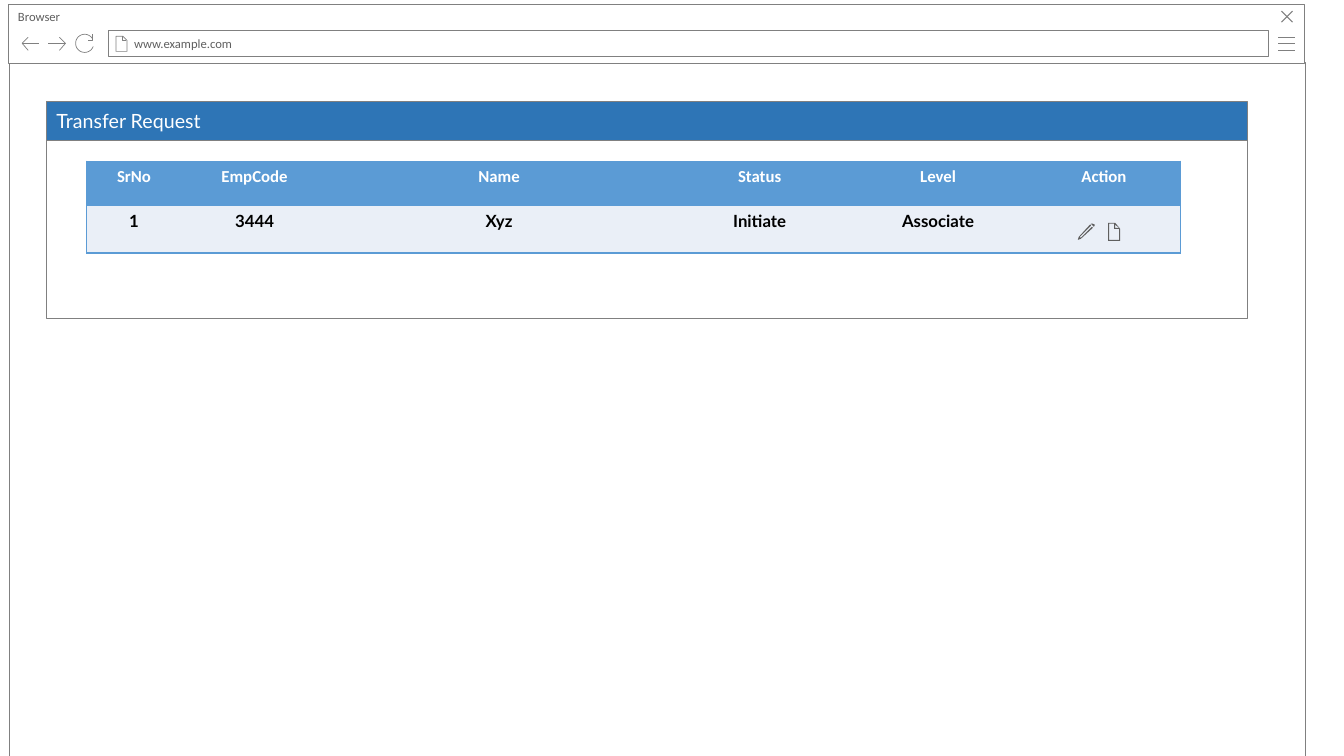
import math
from dataclasses import dataclass
from lxml import etree
from pptx import Presentation, util as u
from pptx.dml.color import RGBColor
from pptx.enum import shapes, text
from pptx.oxml import ns


@dataclass(frozen=True)
class Theme:
    white: RGBColor = RGBColor.from_string("FFFFFF")
    black: RGBColor = RGBColor.from_string("000000")
    outline: RGBColor = RGBColor.from_string("808080")
    ink: RGBColor = RGBColor.from_string("5F5F5F")
    banner: RGBColor = RGBColor.from_string("2E75B6")
    header: RGBColor = RGBColor.from_string("5B9BD5")
    row: RGBColor = RGBColor.from_string("EAEFF7")
    chrome_size: u.Pt = u.Pt(9)
    title_size: u.Pt = u.Pt(14)
    table_size: u.Pt = u.Pt(12)
    hairline: u.Pt = u.Pt(0.5)


theme = Theme()
prs = Presentation()
prs.slide_width, prs.slide_height = u.Inches(13.33), u.Inches(7.5)
slide = prs.slides.add_slide(prs.slide_layouts[5])


def add_box(left, top, width, height, label="", inset_left=0.1, inset_right=0.1,
            anchor=text.MSO_ANCHOR.MIDDLE):
    box = slide.shapes.add_shape(shapes.MSO_SHAPE.RECTANGLE, u.Inches(left), u.Inches(top),
                                 u.Inches(width), u.Inches(height))
    box.shadow.inherit = False
    box.fill.solid()
    box.fill.fore_color.rgb = theme.white
    box.line.color.rgb = theme.outline
    box.line.width = theme.hairline
    if label:
        frame = box.text_frame
        frame.word_wrap = True
        frame.vertical_anchor = anchor
        frame.margin_left, frame.margin_right = u.Inches(inset_left), u.Inches(inset_right)
        line = frame.paragraphs[0]
        line.text = label
        line.alignment = text.PP_ALIGN.LEFT
        line.font.name, line.font.size = "Calibri", theme.chrome_size
        line.font.color.rgb = theme.ink


def add_icon(contours, filled=False, weight=theme.hairline):
    outlines = [[(u.Inches(x), u.Inches(y)) for x, y in contour] for contour in contours]
    builder = slide.shapes.build_freeform(*outlines[0][0])
    for i, points in enumerate(outlines):
        if i:
            builder.move_to(*points[0])
        builder.add_line_segments(points[1:], close=filled)
    icon = builder.convert_to_shape()
    icon.shadow.inherit = False
    if filled:
        icon.fill.solid()
        icon.fill.fore_color.rgb = theme.ink
        icon.line.fill.background()
    else:
        icon.fill.background()
        icon.line.color.rgb = theme.outline
        icon.line.width = weight


add_box(0.09, 0.62, 12.86, 6.9)
add_box(0.08, 0.04, 12.86, 0.59, "Browser", inset_right=0.25, anchor=text.MSO_ANCHOR.TOP)
add_box(1.07, 0.3, 11.51, 0.26, "www.example.com", inset_left=0.26)

menu = [[(12.68, y), (12.84, y)] for y in (0.37, 0.43, 0.5)]
close_cross = [[(12.82, 0.11), (12.71, 0.22)], [(12.71, 0.11), (12.82, 0.22)]]
address_page = [[(1.21, 0.36), (1.21, 0.4), (1.25, 0.4)],
                [(1.15, 0.36), (1.15, 0.51), (1.26, 0.51), (1.26, 0.4), (1.22, 0.36), (1.15, 0.36)]]
back = [[(0.28, 0.5), (0.22, 0.43), (0.28, 0.37)], [(0.22, 0.43), (0.39, 0.43)]]
forward = [[(0.59, 0.37), (0.65, 0.43), (0.59, 0.5)], [(0.65, 0.43), (0.48, 0.43)]]
reload_arc = [(0.84 + 0.09 * math.cos(math.radians(a)), 0.43 + 0.09 * math.sin(math.radians(a)))
              for a in range(20, 331, 10)]
reload = [[(0.92, 0.34), (0.92, 0.4), (0.87, 0.4)], reload_arc]
for browser_icon in (menu, address_page, back, forward, reload):
    add_icon(browser_icon)
add_icon(close_cross, weight=u.Pt(0.75))

add_box(0.46, 1.27, 11.91, 1.89)
title = slide.shapes.title
slide.shapes._spTree.append(title._element)
title.left, title.top = u.Inches(0.46), u.Inches(1.01)
title.width, title.height = u.Inches(11.91), u.Inches(0.38)
title.fill.solid()
title.fill.fore_color.rgb = theme.banner
title.line.color.rgb = theme.outline
title.line.width = theme.hairline
title.text_frame.auto_size = text.MSO_AUTO_SIZE.NONE
title.text_frame.vertical_anchor = text.MSO_ANCHOR.MIDDLE
title.text_frame.margin_right = u.Inches(0.25)
heading = title.text_frame.paragraphs[0]
heading.text = "Transfer Request"
heading.alignment = text.PP_ALIGN.LEFT
heading.font.name, heading.font.size = "Lato", theme.title_size
heading.font.color.rgb = theme.white

requests = [["SrNo", "EmpCode", "Name", "Status", "Level", "Action"],
            ["1", "3444", "Xyz", "Initiate", "Associate", ""]]
column_widths = [0.94, 1.45, 3.4, 1.77, 1.77, 1.52]
row_styles = [(0.44, theme.header, theme.white, "Calibri"), (0.47, theme.row, theme.black, "Lato")]
table = slide.shapes.add_table(2, 6, u.Inches(0.86), u.Inches(1.6),
                               u.Inches(10.87), u.Inches(0.91)).table
table.horz_banding = False
for column, width in zip(table.columns, column_widths):
    column.width = u.Inches(width)
for r, (height, fill, ink, face) in enumerate(row_styles):
    table.rows[r].height = u.Inches(height)
    for c, value in enumerate(requests[r]):
        cell = table.cell(r, c)
        entry = cell.text_frame.paragraphs[0]
        entry.text = value
        entry.alignment = text.PP_ALIGN.CENTER
        entry.font.name, entry.font.size, entry.font.bold = face, theme.table_size, True
        entry.font.color.rgb = ink
        props = cell._tc.get_or_add_tcPr()
        for side in ("L", "R", "T", "B"):
            edge = etree.SubElement(props, ns.qn(f"a:ln{side}"), w=str(u.Pt(1)))
            if (side, c) in (("L", 0), ("R", 5)) or side in "TB":
                paint = etree.SubElement(edge, ns.qn("a:solidFill"))
                etree.SubElement(paint, ns.qn("a:srgbClr"), val=str(theme.header))
            else:
                etree.SubElement(edge, ns.qn("a:noFill"))
        cell.fill.solid()
        cell.fill.fore_color.rgb = fill

view_page = [[(10.99, 2.21), (10.99, 2.39), (11.11, 2.39), (11.11, 2.27), (11.06, 2.21)],
             [(11, 2.22), (11.05, 2.22), (11.05, 2.27), (11.1, 2.27), (11.1, 2.38), (11, 2.38)],
             [(11.06, 2.23), (11.1, 2.26), (11.06, 2.26)]]
edit_pencil = [[(10.84, 2.22), (10.82, 2.22), (10.85, 2.25), (10.86, 2.23)],
               [(10.82, 2.23), (10.81, 2.23), (10.7, 2.35), (10.69, 2.38), (10.72, 2.37),
                (10.84, 2.26), (10.83, 2.25), (10.72, 2.36), (10.71, 2.35), (10.82, 2.24)]]
for action_icon in (view_page, edit_pencil):
    add_icon(action_icon, filled=True)

prs.save("out.pptx")
